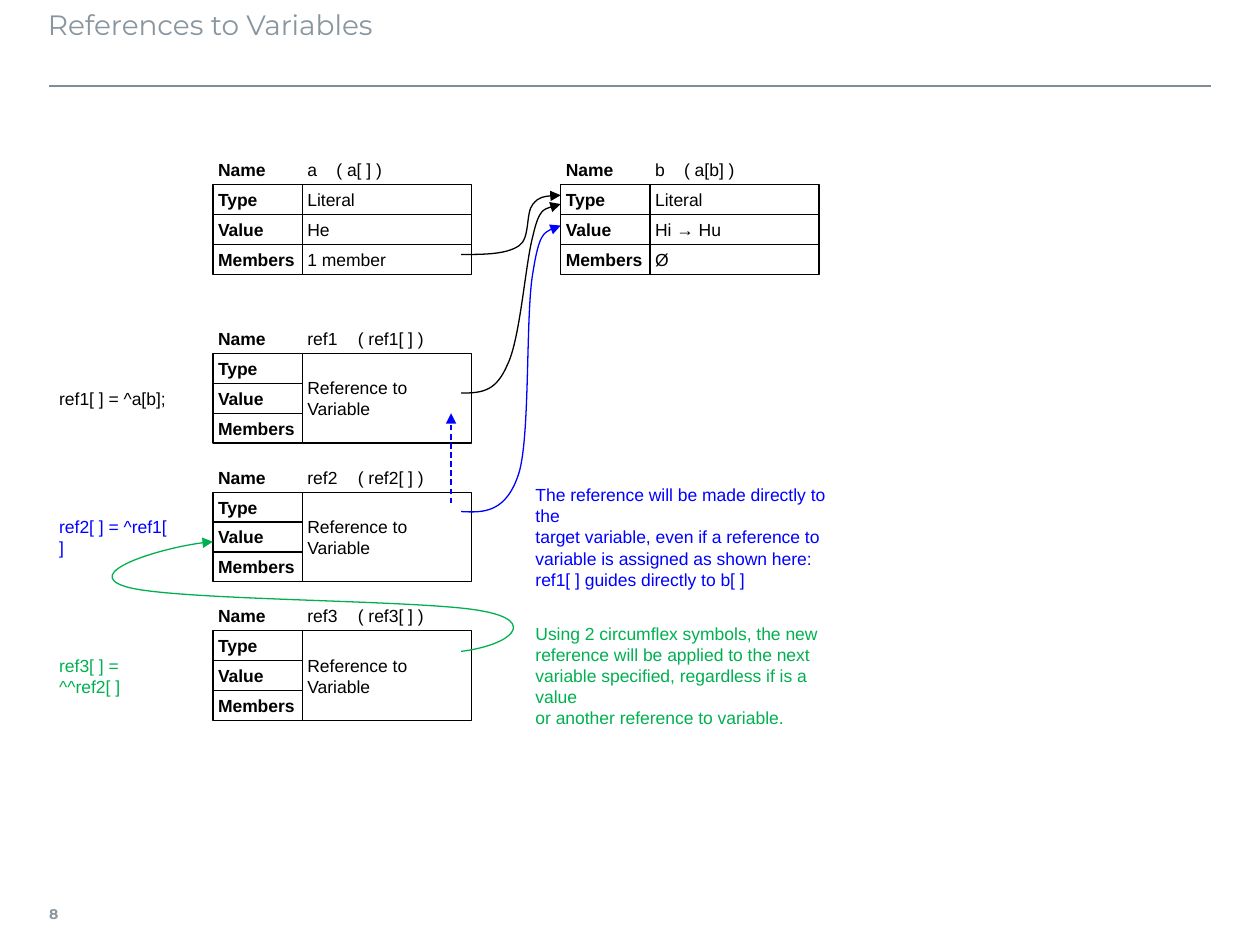
from lxml.etree import SubElement
from pptx import Presentation
from pptx.dml.color import RGBColor
from pptx.enum.dml import MSO_LINE
from pptx.enum.shapes import MSO_CONNECTOR, MSO_SHAPE
from pptx.enum.text import MSO_ANCHOR as Anchor, PP_ALIGN
from pptx.oxml.ns import qn
from pptx.util import Inches, Pt

BLACK = RGBColor(0x00, 0x00, 0x00)
BLUE = RGBColor(0x00, 0x00, 0xFF)
GREEN = RGBColor(0x00, 0xB0, 0x50)
TITLE_GRAY = RGBColor(0x89, 0x96, 0xA0)
RULE_GRAY = RGBColor(0x80, 0x8D, 0x97)

BLOCK = Inches(0.71)
ROW = BLOCK // 3
KEY_WIDTH = Inches(0.71)
VALUE_WIDTH = Inches(1.34)
LEFT_COLUMN = Inches(1.69)
RIGHT_COLUMN = Inches(4.45)
CELL_INSETS = (0.04, 0.04, 0.04, 0.04)


def add_text(slide, text, left, top, width, height, *, size=10, font="Arial",
             color=BLACK, bold=False, anchor=Anchor.MIDDLE, insets=CELL_INSETS,
             wrap=False, border=None, tab=None):
    """Place text, one paragraph a line; a border makes the box a rectangle."""
    if border is None:
        box = slide.shapes.add_textbox(left, top, width, height)
    else:
        box = slide.shapes.add_shape(MSO_SHAPE.RECTANGLE, left, top, width, height)
        box.shadow.inherit = False
        box.fill.background()
        box.line.color.rgb = border
        box.line.width = Pt(0.75)
    frame = box.text_frame
    frame.word_wrap = wrap
    frame.vertical_anchor = anchor
    frame.margin_left, frame.margin_top, frame.margin_right, frame.margin_bottom = map(
        Inches, insets)
    frame.text = text
    for paragraph in frame.paragraphs:
        paragraph.alignment = PP_ALIGN.LEFT
        if tab is not None:
            stops = SubElement(paragraph._p.get_or_add_pPr(), qn("a:tabLst"))
            SubElement(stops, qn("a:tab"), pos=str(Inches(tab)), algn="l")
        for run in paragraph.runs:
            run.font.name = font
            run.font.size = Pt(size)
            run.font.bold = bold
            run.font.color.rgb = color


def style_line(line, color, width=0.75, arrow=False, dash=None):
    line.color.rgb = color
    line.width = Pt(width)
    if dash is not None:
        line.dash_style = dash
    if arrow:
        SubElement(line._get_or_add_ln(), qn("a:tailEnd"), type="triangle")


def add_straight_line(slide, start, end, color, **line_format):
    connector = slide.shapes.add_connector(
        MSO_CONNECTOR.STRAIGHT, *map(Inches, start + end))
    style_line(connector.line, color, **line_format)
    SubElement(connector._element.spPr, qn("a:effectLst"))


def bezier_point(controls, t):
    weights = ((1 - t) ** 3, 3 * t * (1 - t) ** 2, 3 * t ** 2 * (1 - t), t ** 3)
    return tuple(round(sum(w * c for w, c in zip(weights, axis)))
                 for axis in zip(*controls))


def add_curved_arrow(slide, start, offsets, color):
    """Draw cubic curves through offsets from the start, three per curve."""
    points = [(Inches(start[0] + x), Inches(start[1] + y))
              for x, y in [(0, 0)] + offsets]
    # Points on the curves give the outline its extent.
    samples = [bezier_point(points[i:i + 4], step / 40)
               for i in range(0, len(points) - 1, 3) for step in range(1, 41)]
    builder = slide.shapes.build_freeform(*points[0])
    builder.add_line_segments(samples, close=False)
    curve = builder.convert_to_shape()
    outline = curve._element.spPr.find(".//" + qn("a:path"))
    for segment in outline.findall(qn("a:lnTo")):
        outline.remove(segment)
    for i in range(1, len(points), 3):
        bezier = SubElement(outline, qn("a:cubicBezTo"))
        for x, y in points[i:i + 3]:
            SubElement(bezier, qn("a:pt"), x=str(x - curve.left), y=str(y - curve.top))
    curve.shadow.inherit = False
    curve.fill.background()
    style_line(curve.line, color, arrow=True)


def add_variable(slide, left, top, name, values, tab):
    """Draw a variable; a single value spans all three rows."""
    value_left = left + KEY_WIDTH
    add_text(slide, "Name", left, top, KEY_WIDTH, ROW, bold=True)
    add_text(slide, name, value_left, top, VALUE_WIDTH, ROW, wrap=True, tab=tab)
    for row, key in enumerate(("Type", "Value", "Members"), start=1):
        add_text(slide, key, left, top + row * ROW, KEY_WIDTH, ROW,
                 bold=True, border=BLACK)
    value_height = BLOCK // len(values)
    for row, value in enumerate(values):
        add_text(slide, value, value_left, top + ROW + row * value_height,
                 VALUE_WIDTH, value_height, border=BLACK)


def add_reference(slide, top, name, assignment, color, note=None):
    """Draw a reference variable with its assignment and explanation."""
    add_variable(slide, LEFT_COLUMN, top, f"{name}\t( {name}[ ] )",
                 ["Reference to\nVariable"], tab=0.4)
    add_text(slide, assignment, Inches(0.43), top + 2 * ROW, Inches(0.94), ROW,
             color=color)
    if note:
        add_text(slide, note, Inches(4.21), top + ROW, Inches(2.6), BLOCK, color=color)


def add_page_frame(slide):
    add_straight_line(slide, (0.39, 0.68), (9.61, 0.68), RULE_GRAY, width=1)
    add_text(slide, "8", Inches(0.39), Inches(7.06), Inches(0.35), Inches(0.39),
             size=8, font="Montserrat", color=TITLE_GRAY, bold=True,
             insets=(0, 0.05, 0.08, 0.05))
    add_text(slide, "References to Variables", Inches(0.38), Inches(0.01),
             Inches(9.21), Inches(0.63), size=16, font="Montserrat",
             color=TITLE_GRAY, anchor=Anchor.TOP, insets=(0, 0.05, 0.1, 0.05),
             wrap=True)


def add_arrows(slide):
    add_curved_arrow(slide, (3.66, 2.02), [
        (0.18, 0), (0.36, 0), (0.46, -0.07),
        (0.55, -0.13), (0.51, -0.33), (0.57, -0.4),
        (0.62, -0.46), (0.71, -0.47), (0.79, -0.47)], BLACK)
    add_curved_arrow(slide, (3.66, 3.12), [
        (0.18, 0), (0.28, -0.02), (0.37, -0.23),
        (0.47, -0.44), (0.51, -1.03), (0.57, -1.25),
        (0.62, -1.47), (0.71, -1.48), (0.79, -1.5)], BLACK)
    add_curved_arrow(slide, (3.66, 4.06), [
        (0.18, 0.01), (0.36, 0.01), (0.46, -0.31),
        (0.55, -0.62), (0.51, -1.57), (0.57, -1.9),
        (0.62, -2.22), (0.71, -2.25), (0.79, -2.27)], BLUE)
    add_curved_arrow(slide, (3.66, 5.17), [
        (0.4, -0.05), (0.61, -0.24), (0.17, -0.32),
        (-0.27, -0.41), (-2.25, -0.4), (-2.65, -0.51),
        (-3.04, -0.62), (-2.3, -0.85), (-1.97, -0.87)], GREEN)
    add_straight_line(slide, (3.58, 3.99), (3.58, 3.28), BLUE, arrow=True,
                      dash=MSO_LINE.DASH)


def main():
    deck = Presentation()
    deck.slide_width, deck.slide_height = Inches(10), Inches(7.5)
    slide = deck.slides.add_slide(deck.slide_layouts[6])
    add_page_frame(slide)
    add_variable(slide, LEFT_COLUMN, Inches(1.23), "a\t( a[ ] )",
                 ["Literal", "He", "1 member"], tab=0.23)
    add_variable(slide, RIGHT_COLUMN, Inches(1.23), "b\t( a[b] )",
                 ["Literal", "Hi → Hu", "Ø"], tab=0.23)
    references = [
        ("ref1", "ref1[ ] = ^a[b];", BLACK, None),
        ("ref2", "ref2[ ] = ^ref1[ ]", BLUE,
         "The reference will be made directly to the\n"
         "target variable, even if a reference to\n"
         "variable is assigned as shown here:\n"
         "ref1[ ] guides directly to b[ ]"),
        ("ref3", "ref3[ ] = ^^ref2[ ]", GREEN,
         "Using 2 circumflex symbols, the new\n"
         "reference will be applied to the next\n"
         "variable specified, regardless if is a value\n"
         "or another reference to variable."),
    ]
    for index, reference in enumerate(references):
        add_reference(slide, Inches(2.57 + 1.1 * index), *reference)
    add_arrows(slide)
    deck.save("out.pptx")


if __name__ == "__main__":
    main()
